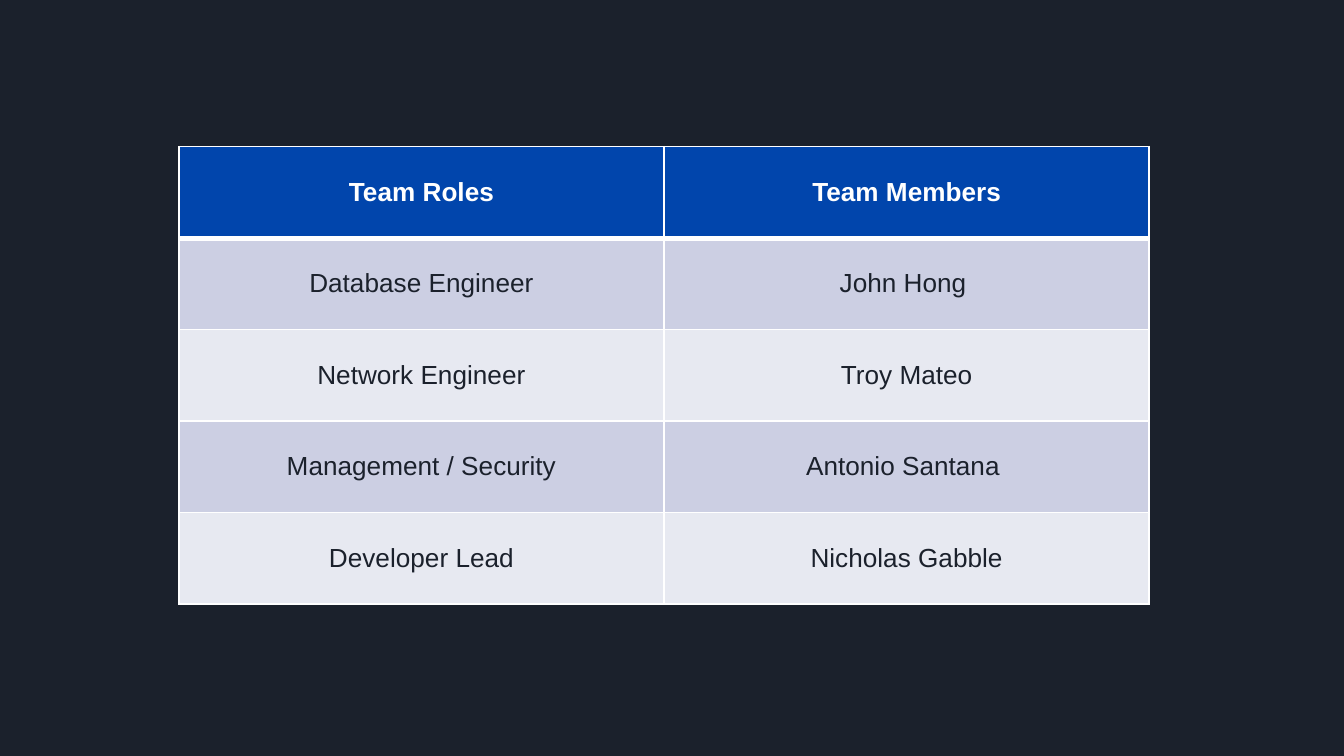
from dataclasses import dataclass

from lxml import etree
from pptx import Presentation
from pptx.dml.color import RGBColor
from pptx.enum.text import MSO_ANCHOR, PP_ALIGN
from pptx.oxml.ns import qn
from pptx.util import Cm, Pt

CENTER = PP_ALIGN.CENTER
MIDDLE = MSO_ANCHOR.MIDDLE
BLANK_LAYOUT = 6


@dataclass(frozen=True)
class Theme:
    background: str = "1B212C"
    header_fill: str = "0145AC"
    header_text: str = "FFFFFF"
    body_text: str = "1B212C"
    bands: tuple[str, str] = ("CCCFE3", "E7E9F1")
    border: str = "FFFFFF"
    thin: float = 1
    thick: float = 3
    font: str = "Arial"
    size: float = 14


@dataclass(frozen=True)
class Member:
    role: str
    name: str


@dataclass(frozen=True)
class CellStyle:
    fill: str
    color: str
    bold: bool
    top: float
    bottom: float


THEME = Theme()
HEADER = Member("Team Roles", "Team Members")
TEAM = [
    Member("Database Engineer", "John Hong "),
    Member("Network Engineer", "Troy Mateo"),
    Member("Management / Security", "Antonio Santana "),
    Member("Developer Lead", "Nicholas Gabble"),
]


def row_style(row: int) -> CellStyle:
    if row == 0:
        return CellStyle(THEME.header_fill, THEME.header_text, True, THEME.thin, THEME.thick)
    top = THEME.thick if row == 1 else THEME.thin
    return CellStyle(THEME.bands[(row - 1) % 2], THEME.body_text, False, top, THEME.thin)


def draw_borders(cell, style: CellStyle) -> None:
    properties = cell._tc.get_or_add_tcPr()
    widths = {"lnL": THEME.thin, "lnR": THEME.thin, "lnT": style.top, "lnB": style.bottom}
    for position, (side, width) in enumerate(widths.items()):
        line = etree.Element(qn(f"a:{side}"), w=str(Pt(width)))
        solid = etree.SubElement(line, qn("a:solidFill"))
        etree.SubElement(solid, qn("a:srgbClr"), val=THEME.border)
        properties.insert(position, line)


def fill_cell(cell, text: str, style: CellStyle) -> None:
    cell.fill.solid()
    cell.fill.fore_color.rgb = RGBColor.from_string(style.fill)
    cell.vertical_anchor = MIDDLE
    draw_borders(cell, style)
    para = cell.text_frame.paragraphs[0]
    para.alignment = CENTER
    span = para.add_run()
    span.text = text
    text_format = {"name": THEME.font, "size": Pt(THEME.size), "bold": style.bold}
    for attribute, value in text_format.items():
        setattr(span.font, attribute, value)
    span.font.color.rgb = RGBColor.from_string(style.color)


def draw_team_table(page, members: list[Member]) -> None:
    column_width, row_height = Cm(9.17), Cm(1.73)
    table = page.shapes.add_table(
        len(members), 2, Cm(3.38), Cm(2.77), column_width * 2, row_height * len(members)
    ).table
    for column in table.columns:
        column.width = column_width
    for row, member in enumerate(members):
        table.rows[row].height = row_height
        for column, text in enumerate((member.role, member.name)):
            fill_cell(table.cell(row, column), text, row_style(row))


def main() -> None:
    deck = Presentation()
    deck.slide_width, deck.slide_height = Cm(25.4), Cm(14.29)
    page = deck.slides.add_slide(deck.slide_layouts[BLANK_LAYOUT])
    page.background.fill.solid()
    page.background.fill.fore_color.rgb = RGBColor.from_string(THEME.background)
    draw_team_table(page, [HEADER, *TEAM])
    deck.save("out.pptx")


if __name__ == "__main__":
    main()
